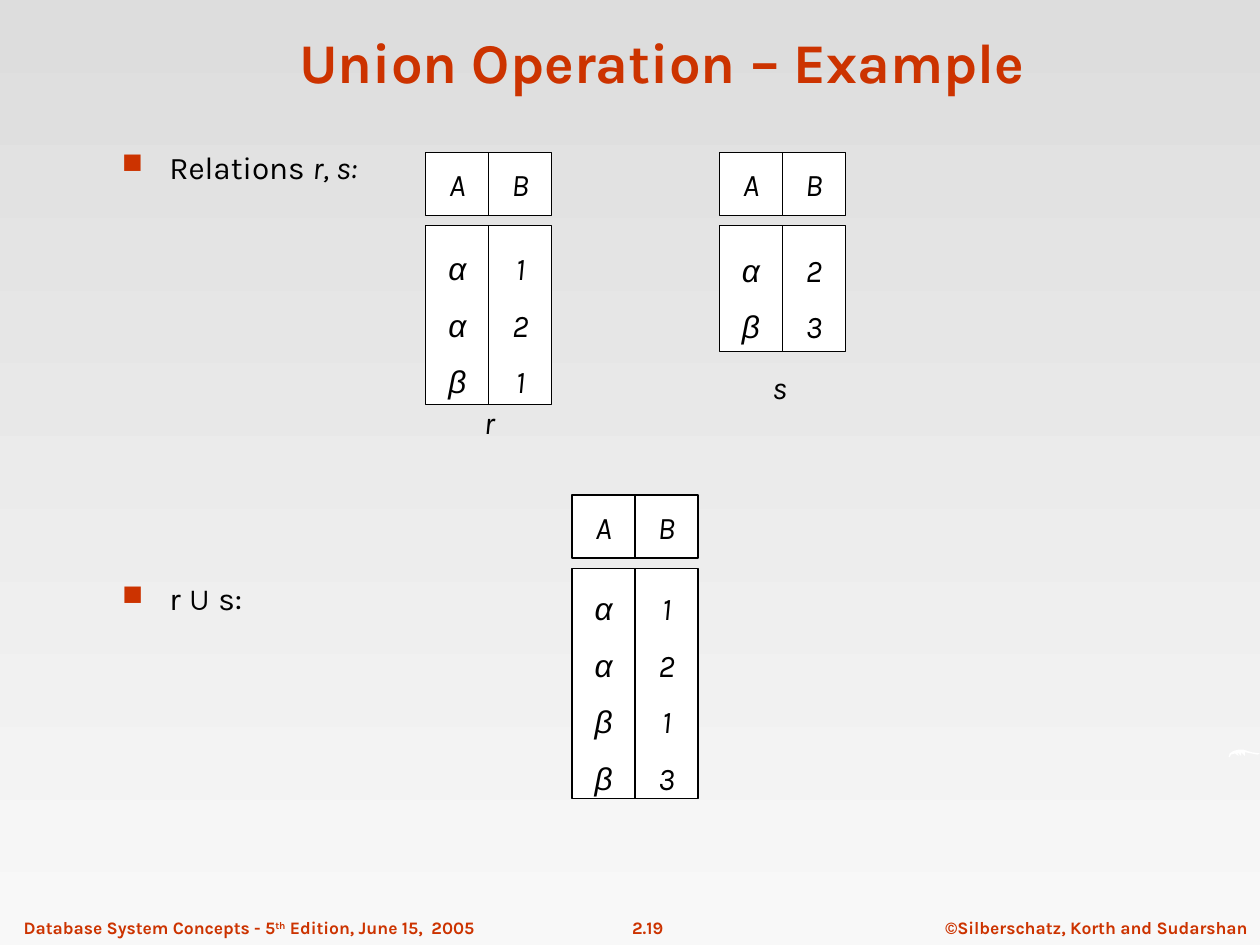
from lxml import etree
from pptx import Presentation
from pptx import util as u
from pptx.dml.color import RGBColor
from pptx.enum import shapes, text
from pptx.oxml.ns import qn

RED = RGBColor(0xCC, 0x33, 0x00)
BLACK = RGBColor(0, 0, 0)
WHITE = RGBColor(255, 255, 255)
SKY_TOP = RGBColor(0xDD, 0xDD, 0xDD)
SKY_BOTTOM = RGBColor(0xF8, 0xF8, 0xF8)
CENTER, LEFT = text.PP_ALIGN.CENTER, text.PP_ALIGN.LEFT
MIDDLE, TOP = text.MSO_ANCHOR.MIDDLE, text.MSO_ANCHOR.TOP


class SlideWriter:
    """Draws on one slide in a shared style; all lengths are in points."""
    body_font = "Karla"
    greek_font = "Arial"
    cell = 36      # column width and header height
    gap = 5.76     # between a header and its rows

    def __init__(self, slide):
        self.slide = slide

    def style(self, span, size=18, color=BLACK, bold=False, italic=False, font=None):
        span.font.name = font or self.body_font
        span.font.size = u.Pt(size)
        span.font.color.rgb = color
        span.font.bold = bold
        span.font.italic = italic

    def background(self, top, bottom):
        fill = self.slide.background.fill
        fill.gradient()
        fill.gradient_angle = 270
        for stop, color in zip(fill.gradient_stops, (top, bottom)):
            stop.color.rgb = color

    def title(self, words, left, top, width, height):
        box = self.slide.shapes.title
        box.left, box.top = u.Pt(left), u.Pt(top)
        box.width, box.height = u.Pt(width), u.Pt(height)
        frame = box.text_frame
        frame.text = words
        frame.auto_size = text.MSO_AUTO_SIZE.NONE
        frame.vertical_anchor = text.MSO_ANCHOR.BOTTOM
        frame.paragraphs[0].alignment = CENTER
        self.style(frame.paragraphs[0].runs[0], 32, RED, bold=True)

    def textbox(self, left, top, width, height, align=CENTER, anchor=TOP, wrap=False):
        box = self.slide.shapes.add_textbox(*map(u.Pt, (left, top, width, height)))
        frame = box.text_frame
        frame.word_wrap = wrap
        frame.vertical_anchor = anchor
        para = frame.paragraphs[0]
        para.alignment = align
        return para

    def span(self, para, words, **look):
        span = para.add_run()
        span.text = words
        self.style(span, **look)
        return span

    def bullet(self, top, width, spacing, spans):
        para = self.textbox(62.64, top, width, 26.28, LEFT, wrap=True)
        para.line_spacing = spacing
        props = para._p.get_or_add_pPr()
        props.set("marL", str(u.Pt(27)))
        props.set("indent", str(-u.Pt(27)))
        color = etree.SubElement(props, qn("a:buClr"))
        etree.SubElement(color, qn("a:srgbClr"), val=str(RED))
        etree.SubElement(props, qn("a:buSzPct"), val="90000")
        etree.SubElement(props, qn("a:buChar"), char="■")
        for words, look in spans:
            self.span(para, words, **look)

    def column(self, left, top, height, lines, spacing=None, font=None):
        box = self.slide.shapes.add_shape(
            shapes.MSO_SHAPE.RECTANGLE, *map(u.Pt, (left, top, self.cell, height)))
        box.shadow.inherit = False
        box.fill.solid()
        box.fill.fore_color.rgb = WHITE
        box.line.color.rgb = BLACK
        box.line.width = u.Pt(0.75)
        frame = box.text_frame
        frame.word_wrap = False
        frame.vertical_anchor = MIDDLE
        frame.text = "\n".join(lines)
        for para in frame.paragraphs:
            para.alignment = CENTER
            para.line_spacing = spacing
            self.style(para.runs[0], italic=True, font=font)

    def relation(self, left, top, height, rows):
        fonts = (self.greek_font, self.body_font)
        for index, (name, values, font) in enumerate(zip("AB", zip(*rows), fonts)):
            x = left + index * self.cell
            self.column(x, top, self.cell, name)
            self.column(x, top + self.cell + self.gap, height, values, 1.5, font)

    def label(self, words, left, top):
        para = self.textbox(left, top, 22, 28.8, anchor=MIDDLE)
        self.span(para, words, italic=True)

    def footer(self, left, width, parts, align=CENTER):
        para = self.textbox(left, 520.56, width, 19.44, align)
        for words, baseline in parts:
            span = self.span(para, words, size=10, color=RED, bold=True)
            if baseline:
                span.font._element.set("baseline", str(baseline))

    def outline(self, points):
        """Closed white outline through points given in hundredths of an inch."""
        builder = self.slide.shapes.build_freeform(*points[0], scale=u.Pt(0.72))
        builder.add_line_segments(points[1:], close=True)
        shape = builder.convert_to_shape()
        shape.shadow.inherit = False
        shape.fill.solid()
        shape.fill.fore_color.rgb = WHITE
        shape.line.fill.background()


def main():
    deck = Presentation()
    deck.slide_width, deck.slide_height = u.Pt(720), u.Pt(540)
    page = SlideWriter(deck.slides.add_slide(deck.slide_layouts[5]))

    # Background, footer and edge decoration
    page.background(SKY_TOP, SKY_BOTTOM)
    page.footer(529.92, 192.96, [("©Silberschatz, Korth and Sudarshan", 0)])
    page.footer(333.36, 73.44, [("2.19", 0)])
    page.footer(6.48, 278.64, [("Database System Concepts - 5", 0), ("th", 30000),
                               (" Edition, June 15,  2005", 0)], LEFT)
    page.outline([(975, 601), (976, 598), (979, 596.5), (983, 595), (987, 595),
                  (993, 597), (1000, 598), (998, 599), (993, 598), (988, 597),
                  (988, 600), (985, 597), (985, 600), (982, 597), (983, 600),
                  (980, 598), (977, 599), (976, 601)])

    # Title and bullets
    page.title("Union Operation – Example", 60.48, 9.36, 635.76, 48.24)
    page.bullet(84.96, 540, 0.8, [("Relations ", {}), ("r, s:", {"italic": True})])
    page.bullet(329.76, 553.68, 0.9,
                [("r ", {}), ("∪", {"font": page.greek_font}), (" s:", {})])

    # Relations r and s, then their union
    page.relation(243.36, 87.12, 102.24, ["α1", "α2", "β1"])
    page.relation(411.12, 87.12, 72, ["α2", "β3"])
    page.label("r", 268.56, 226.8)
    page.label("s", 434.16, 206.64)
    page.relation(326.88, 282.96, 131.76, ["α1", "α2", "β1", "β3"])

    deck.save("out.pptx")


if __name__ == "__main__":
    main()
